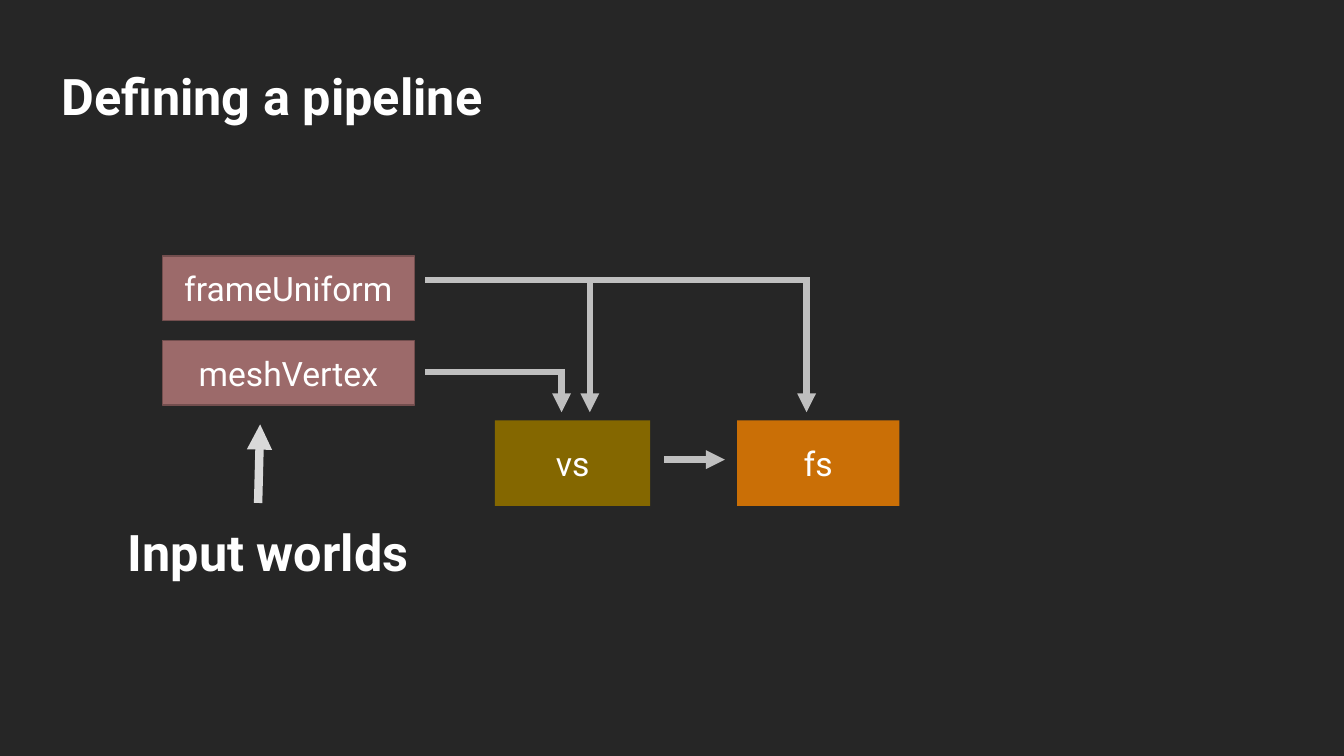
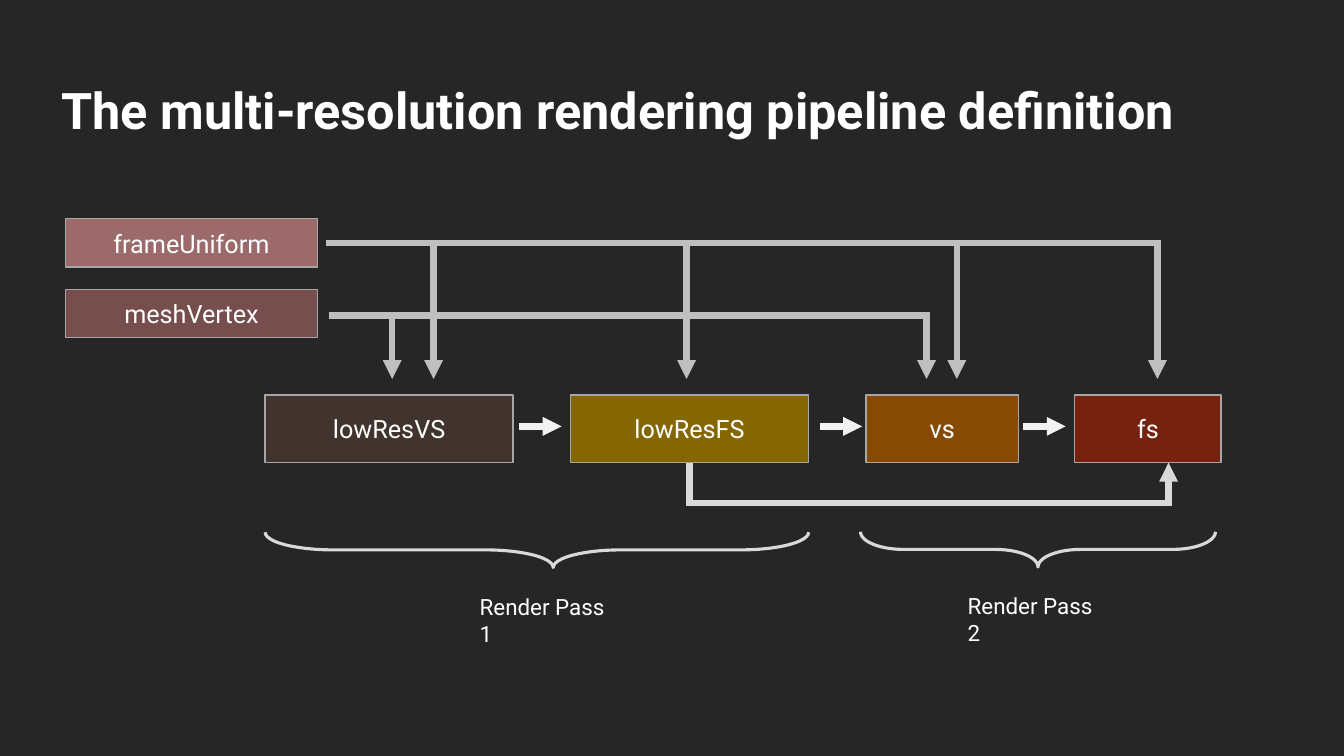
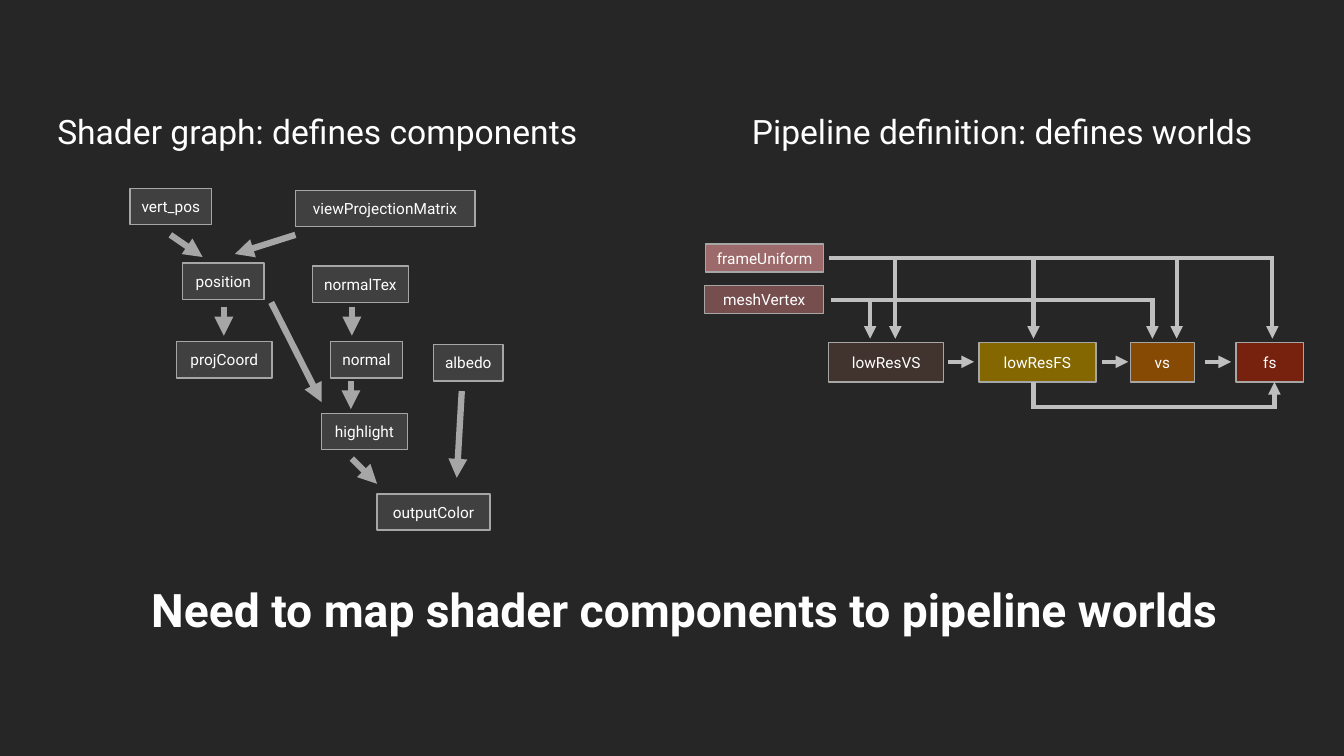
import dataclasses

import lxml.etree
import pptx
import pptx.dml.color
import pptx.enum.shapes
import pptx.enum.text
import pptx.oxml.ns
import pptx.util

PX = 9144
ALIGN = pptx.enum.text.PP_ALIGN
ANCHOR = pptx.enum.text.MSO_ANCHOR
SHAPE = pptx.enum.shapes.MSO_SHAPE


@dataclasses.dataclass(frozen=True)
class Theme:
    """Colours, font and type sizes shared by the slides."""
    font: str = "Roboto"
    background: str = "262626"
    text: str = "FFFFFF"
    rose: str = "9C6A6A"
    dark_rose: str = "764E4E"
    rose_edge: str = "734E4E"
    brown: str = "41342F"
    olive: str = "846700"
    orange: str = "CA6F06"
    rust: str = "864A04"
    red: str = "77220E"
    node: str = "404040"
    edge: str = "A6A6A6"
    wire: str = "BFBFBF"
    pale: str = "D9D9D9"
    bright: str = "F2F2F2"
    title: int = 36
    conclusion: int = 33
    heading: int = 24
    stage: int = 18
    caption: int = 16
    small: int = 11


THEME = Theme()


@dataclasses.dataclass(frozen=True)
class Pipeline:
    """Inputs, stages and wiring of a pipeline, in px from its box."""
    inputs: list
    input_height: int
    stages: list
    stage_top: int
    stage_height: int
    buses: list
    drop_tip: int
    hops: list
    hop_length: int
    hop_y: int
    size: int
    weight: float
    feedback: tuple = ()
    input_edge: str = THEME.edge
    stage_edge: str = THEME.edge
    hop_color: str = THEME.wire
    feedback_color: str = THEME.wire


SINGLE_PASS = Pipeline(
    inputs=[("frameUniform", 0, 0, 250, THEME.rose),
            ("meshVertex", 0, 84, 250, THEME.rose)],
    input_height=64,
    stages=[("vs", 330, 154, THEME.olive), ("fs", 570, 161, THEME.orange)],
    stage_top=163, stage_height=85,
    buses=[(261, 24, [424, 639]), (261, 115, [396])], drop_tip=155,
    hops=[498], hop_length=60, hop_y=202,
    size=THEME.heading, weight=4.5,
    input_edge=THEME.rose_edge, stage_edge="")

MULTI_RESOLUTION = Pipeline(
    inputs=[("frameUniform", 0, 0, 250, THEME.rose),
            ("meshVertex", 0, 70, 250, THEME.dark_rose)],
    input_height=48,
    stages=[("lowResVS", 198, 246, THEME.brown), ("lowResFS", 501, 236, THEME.olive),
            ("vs", 794, 151, THEME.rust), ("fs", 1001, 145, THEME.red)],
    stage_top=175, stage_height=67,
    buses=[(258, 24, [365, 616, 884, 1083]), (261, 96, [324, 854])], drop_tip=159,
    hops=[450, 748, 950], hop_length=42, hop_y=206,
    size=THEME.stage, weight=4.5, feedback=(619, 1094, 282),
    hop_color=THEME.bright, feedback_color=THEME.pale)

COMPACT = Pipeline(
    inputs=[("frameUniform", 1, 0, 117, THEME.rose),
            ("meshVertex", 0, 41, 118, THEME.dark_rose)],
    input_height=28,
    stages=[("lowResVS", 123, 114, THEME.brown), ("lowResFS", 272, 116, THEME.olive),
            ("vs", 422, 64, THEME.rust), ("fs", 527, 67, THEME.red)],
    stage_top=98, stage_height=39,
    buses=[(123, 14, [189, 326, 468, 563]), (125, 56, [164, 444])], drop_tip=94,
    hops=[241, 394, 496], hop_length=26, hop_y=117,
    size=THEME.small, weight=3, feedback=(326, 565, 162))

SHADER_NODES = [
    ("vert_pos", 0, 0, 81), ("viewProjectionMatrix", 164, 2, 178),
    ("position", 52, 74, 81), ("normalTex", 181, 77, 95),
    ("projCoord", 46, 152, 95), ("normal", 199, 152, 71),
    ("albedo", 301, 155, 69), ("highlight", 190, 223, 85),
    ("outputColor", 245, 303, 112)]

SHADER_EDGES = [
    (40, 46, 72, 68), (164, 46, 104, 65), (93, 118, 93, 146),
    (220, 118, 220, 146), (140, 113, 190, 212), (219, 191, 219, 219),
    (329, 201, 324, 287), (220, 268, 245, 293)]


def emu(*lengths):
    """Turn px lengths into EMU."""
    return [pptx.util.Emu(length * PX) for length in lengths]


def rgb(color):
    """Turn a hex string into a colour."""
    return pptx.dml.color.RGBColor.from_string(color)


def write(frame, text, size, bold=False, align=ALIGN.LEFT):
    """Put one formatted paragraph into a text frame."""
    frame.text = text
    frame.word_wrap = True
    paragraph = frame.paragraphs[0]
    paragraph.alignment = align
    font = paragraph.runs[0].font
    font.name, font.size, font.bold = THEME.font, pptx.util.Pt(size), bold
    font.color.rgb = rgb(THEME.text)
    return paragraph


def add_title(slide, box, text, size=THEME.title, align=ALIGN.LEFT):
    """Place and format the slide's title placeholder."""
    title = slide.shapes.title
    title.left, title.top, title.width, title.height = emu(*box)
    frame = title.text_frame
    frame.auto_size = pptx.enum.text.MSO_AUTO_SIZE.NONE
    frame.vertical_anchor = ANCHOR.MIDDLE
    write(frame, text, size, True, align).line_spacing = 0.9


def add_label(shapes, box, text, size, bold=False):
    """Add free text in a box."""
    write(shapes.add_textbox(*emu(*box)).text_frame, text, size, bold)


def add_block(shapes, box, text, fill, edge, size):
    """Add a filled rectangle with a centred label."""
    block = shapes.add_shape(SHAPE.RECTANGLE, *emu(*box))
    block.shadow.inherit = False
    block.fill.solid()
    block.fill.fore_color.rgb = rgb(fill)
    if edge:
        block.line.color.rgb = rgb(edge)
        block.line.width = pptx.util.Pt(1)
    else:
        block.line.fill.background()
    frame = block.text_frame
    frame.margin_left = frame.margin_right = frame.margin_top = frame.margin_bottom = 0
    frame.vertical_anchor = ANCHOR.MIDDLE
    write(frame, text, size, align=ALIGN.CENTER)
    return block


def add_wire(shapes, ends, color, weight, arrow=False):
    """Add a straight connector, with an arrowhead at its end if asked."""
    wire = shapes.add_connector(pptx.enum.shapes.MSO_CONNECTOR.STRAIGHT, *emu(*ends))
    wire.line.color.rgb = rgb(color)
    wire.line.width = pptx.util.Pt(weight)
    qn = pptx.oxml.ns.qn
    properties = wire.element.spPr
    if arrow:
        lxml.etree.SubElement(properties.find(qn("a:ln")), qn("a:tailEnd"), type="triangle")
    lxml.etree.SubElement(properties, qn("a:effectLst"))
    return wire


def add_brace(shapes, box, curve, point):
    """Add a brace opening upwards that fills the box."""
    left, top, width, height = box
    shift = (width - height) // 2
    brace = shapes.add_shape(SHAPE.LEFT_BRACE, *emu(left + shift, top - shift, height, width))
    brace.rotation = 270
    brace.adjustments[0], brace.adjustments[1] = curve, point
    brace.shadow.inherit = False
    brace.fill.background()
    brace.line.color.rgb = rgb(THEME.pale)
    brace.line.width = pptx.util.Pt(2.25)


def add_pipeline(shapes, origin, plan):
    """Draw a pipeline with its top left corner at the origin."""
    x, y = origin
    half = round(plan.weight * 100 / 144)
    for name, left, top, width, fill in plan.inputs:
        add_block(shapes, (x + left, y + top, width, plan.input_height),
                  name, fill, plan.input_edge, plan.size)
    stages = {}
    for name, left, width, fill in plan.stages:
        box = (x + left, y + plan.stage_top, width, plan.stage_height)
        block = add_block(shapes, box, name, fill, plan.stage_edge, plan.size)
        stages[left + width // 2] = block
    for start, level, drops in plan.buses:
        add_wire(shapes, (x + start, y + level, x + drops[-1], y + level),
                 THEME.wire, plan.weight)
        for drop in drops:
            add_wire(shapes, (x + drop, y + level - half, x + drop, y + plan.drop_tip),
                     THEME.wire, plan.weight, True)
    for hop in plan.hops:
        add_wire(shapes, (x + hop, y + plan.hop_y, x + hop + plan.hop_length, y + plan.hop_y),
                 plan.hop_color, plan.weight, True)
    if plan.feedback:
        source, target, level = plan.feedback
        bottom = y + plan.stage_top + plan.stage_height
        style = plan.feedback_color, plan.weight
        leaving = add_wire(shapes, (x + source, bottom, x + source, y + level + half), *style)
        if source in stages:
            leaving.begin_connect(stages[source], 2)
        add_wire(shapes, (x + source, y + level, x + target, y + level), *style)
        add_wire(shapes, (x + target, y + level + half, x + target, bottom), *style, True)


def add_shader_graph(shapes, origin):
    """Draw the shader component graph with its corner at the origin."""
    x, y = origin
    for name, left, top, width in SHADER_NODES:
        add_block(shapes, (x + left, y + top, width, 36), name,
                  THEME.node, THEME.edge, THEME.small)
    for x0, y0, x1, y1 in SHADER_EDGES:
        add_wire(shapes, (x + x0, y + y0, x + x1, y + y1), THEME.edge, 4.5, True)


def add_render_pass(shapes, box, text, label_left, curve, point):
    """Brace the stages of one render pass and caption it."""
    add_brace(shapes, box, curve, point)
    add_label(shapes, (label_left, box[1] + 56, 157, 37), text, THEME.caption)


def build_definition(slide):
    """Build the slide on defining a pipeline."""
    add_title(slide, (51, 40, 1228, 116), "Defining a pipeline")
    add_pipeline(slide.shapes, (161, 254), SINGLE_PASS)
    add_label(slide.shapes, (117, 512, 321, 71), "Input worlds", THEME.title, True)
    add_wire(slide.shapes, (256, 499, 258, 421), THEME.pale, 6, True)


def build_multi_resolution(slide):
    """Build the slide on the multi-resolution pipeline."""
    add_title(slide, (51, 40, 1228, 145), "The multi-resolution rendering pipeline definition")
    add_pipeline(slide.shapes, (65, 217), MULTI_RESOLUTION)
    add_render_pass(slide.shapes, (263, 528, 539, 35), "Render Pass 1", 466, 1.92, 0.53)
    add_render_pass(slide.shapes, (854, 527, 352, 35), "Render Pass 2", 950, 1.21, 0.5)


def build_mapping(slide):
    """Build the slide that sets components beside worlds."""
    add_title(slide, (47, 535, 1264, 145), "Need to map shader components to pipeline worlds",
              THEME.conclusion, ALIGN.CENTER)
    add_shader_graph(slide.shapes.add_group_shape().shapes, (129, 187))
    add_pipeline(slide.shapes.add_group_shape().shapes, (699, 242), COMPACT)
    for left, text in ((47, "Shader graph: defines components"),
                       (736, "Pipeline definition: defines worlds")):
        add_label(slide.shapes, (left, 105, 550, 50), text, THEME.heading)


def main():
    """Build and save the presentation."""
    deck = pptx.Presentation()
    deck.slide_width, deck.slide_height = emu(1333, 750)
    backdrop = deck.slide_master.background.fill
    backdrop.solid()
    backdrop.fore_color.rgb = rgb(THEME.background)
    for build in (build_definition, build_multi_resolution, build_mapping):
        build(deck.slides.add_slide(deck.slide_layouts[5]))
    deck.save("out.pptx")


if __name__ == "__main__":
    main()
